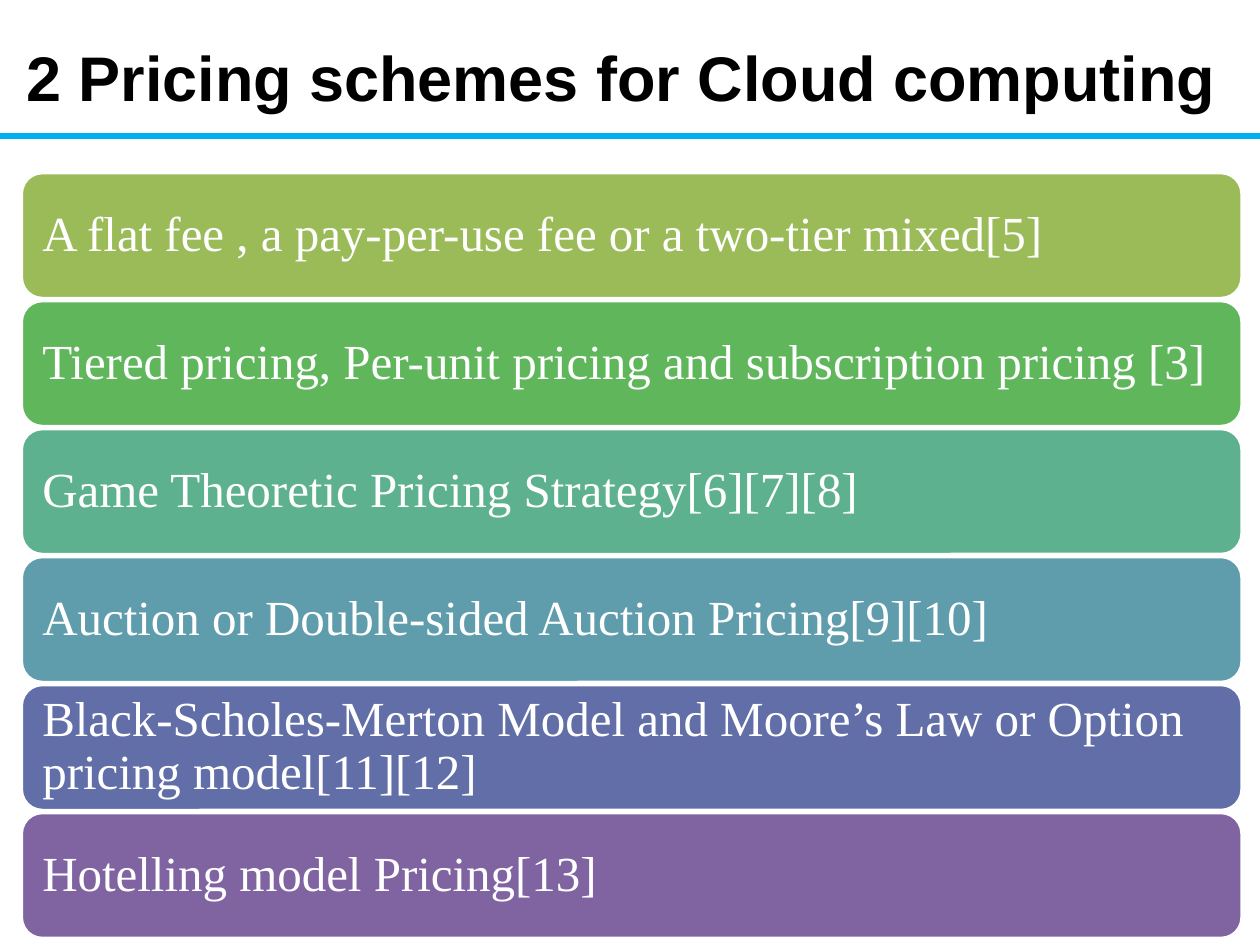
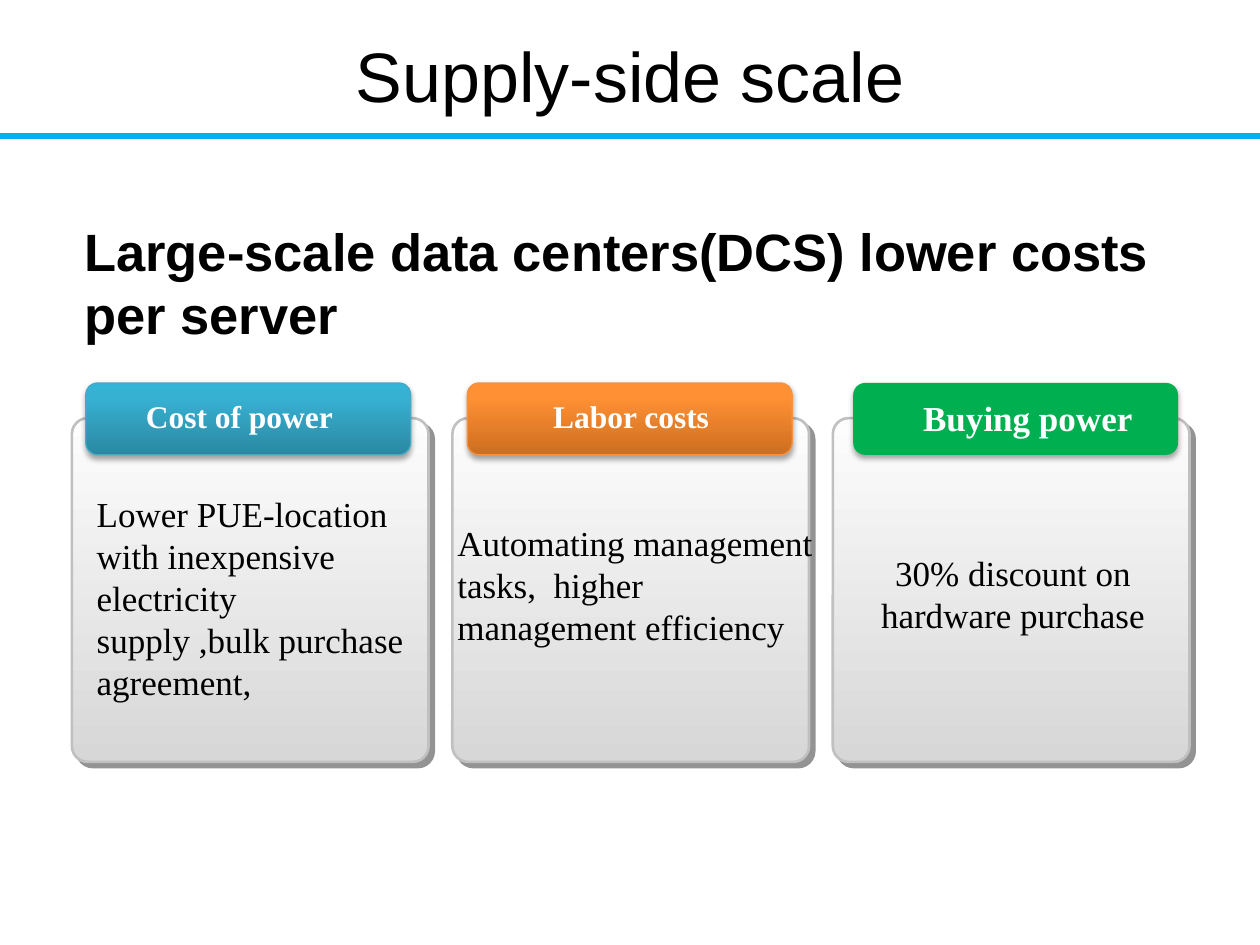
from pptx import Presentation
from pptx.dml.color import RGBColor
from pptx.enum.shapes import MSO_CONNECTOR, MSO_SHAPE
from pptx.enum.text import MSO_ANCHOR, PP_ALIGN
from pptx.oxml import parse_xml
from pptx.oxml.ns import nsdecls, qn
from pptx.util import Cm, Pt
from lxml.etree import SubElement

HUE = {
    "ink": "000000", "white": "FFFFFF", "rule": "00B0F0",
    "edge": "C0C0C0", "shade": "292929", "green": "00B050",
    "teal": "46AAC5", "orange": "F69240",
}
SANS, SERIF = "Arial", "Times New Roman"
LEFT, MID = PP_ALIGN.LEFT, PP_ALIGN.CENTER


def write(frame, words, face, size, hue="ink", bold=False, align=LEFT,
          anchor=MSO_ANCHOR.TOP, wrap=True):
    frame.word_wrap = wrap
    frame.vertical_anchor = anchor
    par = frame.paragraphs[0]
    par.text = words
    par.alignment = align
    font = par.font
    font.name, font.size, font.bold = face, Pt(size), bold
    font.color.rgb = RGBColor.from_string(HUE[hue])
    return par


def block(slide, x, y, w, h, fill, round_by, edge=None, width=0, shadow=None):
    """Rounded box; fill is a hex colour or (angle, stops)."""
    shape = slide.shapes.add_shape(
        MSO_SHAPE.ROUNDED_RECTANGLE, Cm(x), Cm(y), Cm(w), Cm(h))
    shape.adjustments[0] = round_by
    props = shape._element.spPr
    if isinstance(fill, str):
        shape.fill.solid()
        shape.fill.fore_color.rgb = RGBColor.from_string(fill)
    else:
        angle, stops = fill
        marks = "".join(
            f'<a:gs pos="{at * 1000}"><a:srgbClr val="{tone}"/></a:gs>'
            for at, tone in stops)
        shape.fill.background()
        props.replace(props.find(qn("a:noFill")), parse_xml(
            f'<a:gradFill {nsdecls("a")} rotWithShape="1"><a:gsLst>{marks}'
            f'</a:gsLst><a:lin ang="{angle * 60000}" scaled="0"/></a:gradFill>'))
    if edge:
        shape.line.color.rgb = RGBColor.from_string(HUE[edge])
        shape.line.width = Pt(width)
    else:
        shape.line.fill.background()
    shape.shadow.inherit = False
    if shadow:
        hue, alpha, blur, gap, angle = shadow
        props.find(qn("a:effectLst")).append(parse_xml(
            f'<a:outerShdw {nsdecls("a")} blurRad="{Pt(blur)}" '
            f'dist="{Pt(gap)}" dir="{angle * 60000}" algn="ctr" '
            f'rotWithShape="0"><a:srgbClr val="{HUE[hue]}">'
            f'<a:alpha val="{alpha * 1000}"/></a:srgbClr></a:outerShdw>'))
    return shape


deck = Presentation()
deck.slide_width, deck.slide_height = Cm(25.4), Cm(19.05)

# Title and rule on every slide
heads = [
    ("2 Pricing schemes for Cloud computing ", 36, True, 0, 25.4, 3.25),
    ("Supply-side scale", 40, False, 1.27, 22.86, 3.17),
]
for words, size, bold, x, w, h in heads:
    slide = deck.slides.add_slide(deck.slide_layouts[6])
    title = slide.shapes.add_textbox(Cm(x), Cm(-0.08), Cm(w), Cm(h))
    write(title.text_frame, words, SANS, size, bold=bold, align=MID,
          anchor=MSO_ANCHOR.MIDDLE)
    rule = slide.shapes.add_connector(
        MSO_CONNECTOR.STRAIGHT, 0, Cm(2.74), deck.slide_width, Cm(2.74))
    rule.line.color.rgb = RGBColor.from_string(HUE["rule"])
    rule.line.width = Pt(3)
    SubElement(rule._element.spPr, qn("a:effectLst"))
schemes, scale = deck.slides

# Slide 1: stack of pricing schemes
bars = [
    ("9BBB59", "A flat fee , a pay-per-use fee or a two-tier mixed[5]"),
    ("5FB65B", "Tiered pricing, Per-unit pricing and subscription pricing [3]"),
    ("5DB18E", "Game Theoretic Pricing Strategy[6][7][8]"),
    ("5F9DAC", "Auction or Double-sided Auction Pricing[9][10]"),
    ("626EA7", "Black-Scholes-Merton Model and Moore’s Law or Option "
               "pricing model[11][12]"),
    ("8064A2", "Hotelling model Pricing[13]"),
]
for i, (tone, words) in enumerate(bars):
    bar = block(schemes, 0.43, 3.48 + 2.58 * i, 24.61, 2.54, tone, 0.167,
                "white", 2)
    frame = bar.text_frame
    frame.margin_left = frame.margin_right = Cm(0.3)
    frame.margin_top = frame.margin_bottom = Cm(0.3)
    par = write(frame, words, SERIF, 28, "white", anchor=MSO_ANCHOR.MIDDLE)
    par.line_spacing = 0.9

# Slide 2: lead sentence
lead = scale.shapes.add_textbox(Cm(1.45), Cm(4.29), Cm(22.86), Cm(2.82))
write(lead.text_frame, "Large-scale data centers(DCS) lower costs per server",
      SANS, 30, bold=True)

# Slide 2: cards, each as tab (x, fill, edge), label (x, width, size), body
grey = (90, [(0, "FDFDFD"), (100, "D7D7D7")])
teal = (270, [(0, "2A88A2"), (80, "37B1D2"), (100, "34B4D6")])
orange = (270, [(0, "CC6E20"), (80, "FF9034"), (100, "FF9136")])
cards = [
    ((1.73, teal, "teal"), ("Cost of power", 2.69, 4.32, 18),
     ("Lower PUE-location with inexpensive electricity supply ,bulk purchase "
      "agreement,", 1.7, 9.8, 6.78, 4.52, LEFT)),
    ((9.42, orange, "orange"), ("Labor costs", 10.9, 3.71, 18),
     ("Automating management tasks,  higher management efficiency",
      8.97, 10.39, 7.67, 2.82, LEFT)),
    ((17.2, HUE["green"], None), ("Buying power", 18.36, 4.78, 20),
     ("30% discount on hardware purchase", 16.94, 11, 6.96, 1.96, MID)),
]
for i, (tab, label, body) in enumerate(cards):
    block(scale, 1.45 + 7.67 * i, 8.43, 7.19, 6.93, grey, 0.046, "edge", 1.5,
          ("shade", 50, 0, 4.2, 45))
    x, fill, edge = tab
    block(scale, x, 7.72, 6.55, 1.45, fill, 0.167, edge, 0.75,
          ("ink", 35, 3.1, 1.8, 90))
    words, x, w, size = label
    name = scale.shapes.add_textbox(Cm(x), Cm(7.87), Cm(w), Cm(1.02))
    write(name.text_frame, words, SERIF, size, "white", True, wrap=False)
    words, x, y, w, h, align = body
    note = scale.shapes.add_textbox(Cm(x), Cm(y), Cm(w), Cm(h))
    write(note.text_frame, words, SERIF, 20, align=align)

deck.save("out.pptx")
